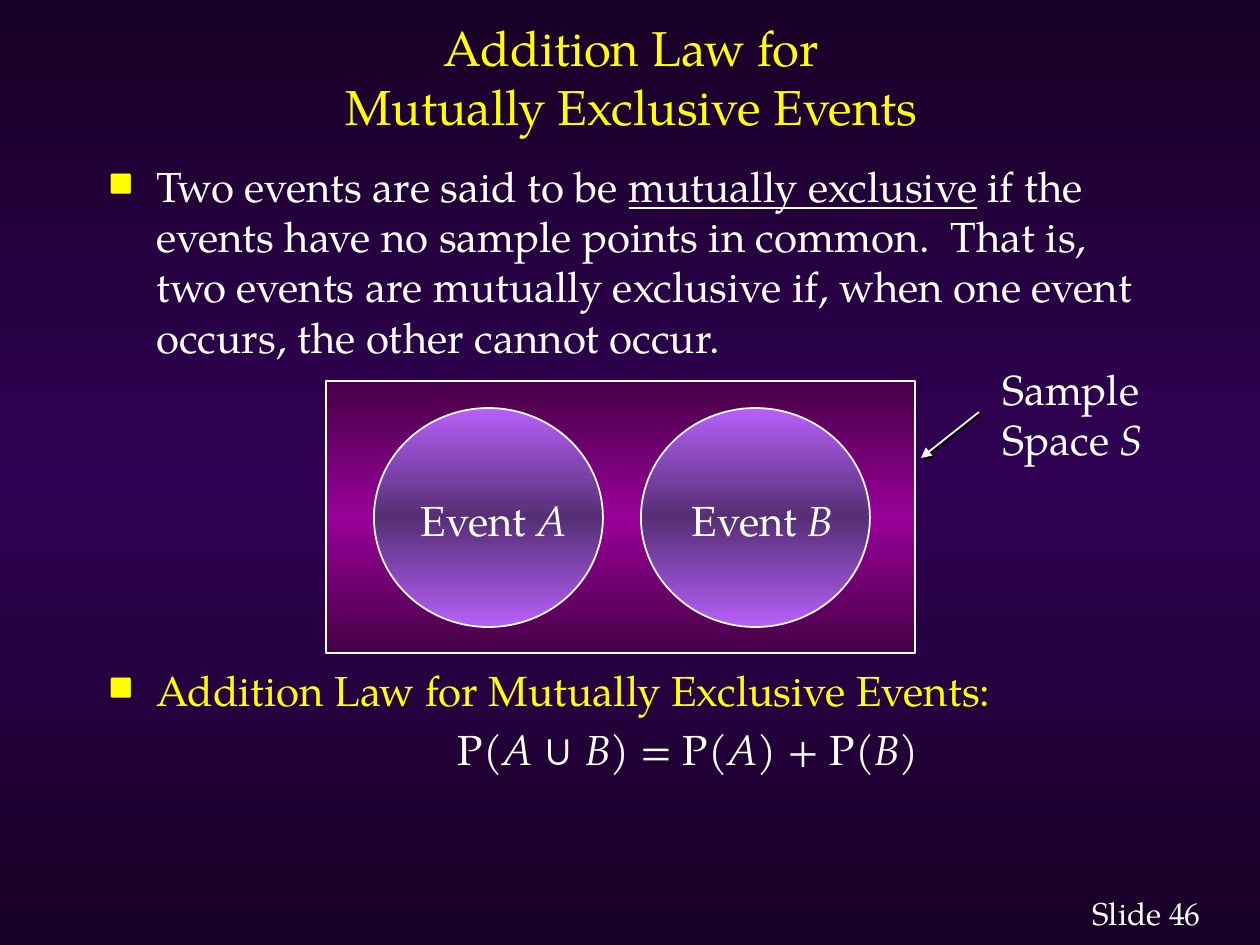
"""Build a slide on the addition law for mutually exclusive events."""
from lxml.etree import SubElement
from pptx import Presentation
from pptx.dml.color import RGBColor
from pptx.enum.shapes import MSO_CONNECTOR, MSO_SHAPE
from pptx.enum.text import MSO_ANCHOR, PP_ALIGN
from pptx.oxml.ns import qn
from pptx.util import Pt

SCALE = 914400 // 126
FONT = "TeX Gyre Pagella"
COLORS = {
    "white": "FFFFFF", "yellow": "FFFF00", "black": "000000",
    "night": "180026", "indigo": "300153",
    "plum": "460046", "magenta": "990099",
    "lilac": "B760F9", "violet": "562E75",
}

TITLE = ["Addition Law for", "Mutually Exclusive Events"]
DEFINITION = [
    ("Two events are said to be ", ""),
    ("mutually exclusive", "underline"),
    (" if the events have no sample points in common.  That is, two events are "
     "mutually exclusive if, when one event occurs, the other cannot occur.", ""),
]
LAW = [("Addition Law for Mutually Exclusive Events:", "")]
FORMULA = [
    ("P(", ""), ("A ", "italic"), ("∪ ", "symbol"), ("B", "italic"), (") = P(", ""),
    ("A", "italic"), (") + P(", ""), ("B", "italic"), (")", ""),
]
SAMPLE_SPACE = [[("Sample", "")], [("Space ", ""), ("S", "italic")]]
EVENTS = [("A", 374, 408), ("B", 641, 679)]
SLIDE_NUMBER = [("Slide 46", "")]

BODY_LEFT, BODY_WIDTH = 96, 1071
BULLET_INDENT = 48
FORMULA_INDENT = 114
CIRCLE_TOP, CIRCLE_WIDTH, CIRCLE_HEIGHT = 408, 229, 219


def px(*lengths):
    return [length * SCALE for length in lengths]


def color(name):
    return RGBColor.from_string(COLORS[name])


def paint_gradient(fill, owner, edge, middle):
    fill.gradient()
    fill.gradient_angle = 90
    stops = next(owner.iter(qn("a:gsLst")))
    stops.clear()
    for position, name in ((0, edge), (50, middle), (100, edge)):
        stop = SubElement(stops, qn("a:gs"), pos=str(position * 1000))
        SubElement(stop, qn("a:srgbClr"), val=COLORS[name])


def add_shadow(properties):
    effects = SubElement(properties, qn("a:effectLst"))
    shadow = SubElement(effects, qn("a:outerShdw"), dist="17961", dir="2700000")
    SubElement(shadow, qn("a:srgbClr"), val=COLORS["black"])


def add_runs(paragraph, runs, size=24, ink="white", shadow=False):
    for text, style in runs:
        run = paragraph.add_run()
        run.text = text
        font = run.font
        font.size = Pt(size)
        font.color.rgb = color(ink)
        if style == "italic":
            font.italic = True
        if style == "underline":
            font.underline = True
        if shadow:
            add_shadow(run._r.get_or_add_rPr())
        font.name = "Arial" if style == "symbol" else FONT


def add_text_frame(slide, box, wrap=False):
    frame = slide.shapes.add_textbox(*px(*box)).text_frame
    frame.word_wrap = wrap
    return frame


def add_bullet(paragraph):
    properties = paragraph._p.get_or_add_pPr()
    properties.set("marL", str(BULLET_INDENT * SCALE))
    properties.set("indent", str(-BULLET_INDENT * SCALE))
    bullet_color = SubElement(properties, qn("a:buClr"))
    SubElement(bullet_color, qn("a:srgbClr"), val=COLORS["yellow"])
    SubElement(properties, qn("a:buSzPct"), val="80000")
    SubElement(properties, qn("a:buFont"), typeface=FONT)
    SubElement(properties, qn("a:buChar"), char="■")


def add_gradient_shape(slide, kind, box, edge, middle):
    shape = slide.shapes.add_shape(kind, *px(*box))
    shape.shadow.inherit = False
    paint_gradient(shape.fill, shape._element, edge, middle)
    shape.line.color.rgb = color("white")
    shape.line.width = Pt(1)


def add_title(slide):
    frame = add_text_frame(slide, (BODY_LEFT, 28, BODY_WIDTH, 97), wrap=True)
    frame.vertical_anchor = MSO_ANCHOR.MIDDLE
    paragraph = frame.paragraphs[0]
    paragraph.alignment = PP_ALIGN.CENTER
    for index, line in enumerate(TITLE):
        if index:
            paragraph.add_line_break()
        add_runs(paragraph, [(line, "")], size=28, ink="yellow")


def add_body(slide):
    for top, height, runs, ink in ((154, 213, DEFINITION, "white"), (658, 130, LAW, "yellow")):
        frame = add_text_frame(slide, (BODY_LEFT, top, BODY_WIDTH, height), wrap=True)
        add_bullet(frame.paragraphs[0])
        add_runs(frame.paragraphs[0], runs, ink=ink)
    formula = frame.add_paragraph()
    formula.alignment = PP_ALIGN.CENTER
    formula.space_before = Pt(5)
    formula._p.get_or_add_pPr().set("marL", str(FORMULA_INDENT * SCALE))
    add_runs(formula, FORMULA)


def add_diagram(slide):
    add_gradient_shape(slide, MSO_SHAPE.RECTANGLE, (326, 381, 589, 272), "plum", "magenta")
    for name, circle_left, label_left in EVENTS:
        circle = (circle_left, CIRCLE_TOP, CIRCLE_WIDTH, CIRCLE_HEIGHT)
        add_gradient_shape(slide, MSO_SHAPE.OVAL, circle, "lilac", "violet")
        label = add_text_frame(slide, (label_left, 488, 172, 63))
        add_runs(label.paragraphs[0], [("Event ", ""), (name, "italic")])

    frame = add_text_frame(slide, (990, 357, 174, 113))
    for index, runs in enumerate(SAMPLE_SPACE):
        paragraph = frame.add_paragraph() if index else frame.paragraphs[0]
        add_runs(paragraph, runs, shadow=True)

    arrow = slide.shapes.add_connector(MSO_CONNECTOR.STRAIGHT, *px(979, 412, 921, 458))
    arrow.line.color.rgb = color("white")
    arrow.line.width = Pt(1)
    SubElement(arrow.line._get_or_add_ln(), qn("a:tailEnd"), type="triangle")
    add_shadow(arrow._element.spPr)


def main():
    presentation = Presentation()
    presentation.slide_width, presentation.slide_height = px(1260, 945)
    slide = presentation.slides.add_slide(presentation.slide_layouts[6])
    paint_gradient(slide.background.fill, slide.element, "night", "indigo")
    add_title(slide)
    add_body(slide)
    add_diagram(slide)
    number = add_text_frame(slide, (1080, 888, 137, 50))
    add_runs(number.paragraphs[0], SLIDE_NUMBER, size=18, shadow=True)
    presentation.save("out.pptx")


if __name__ == "__main__":
    main()
